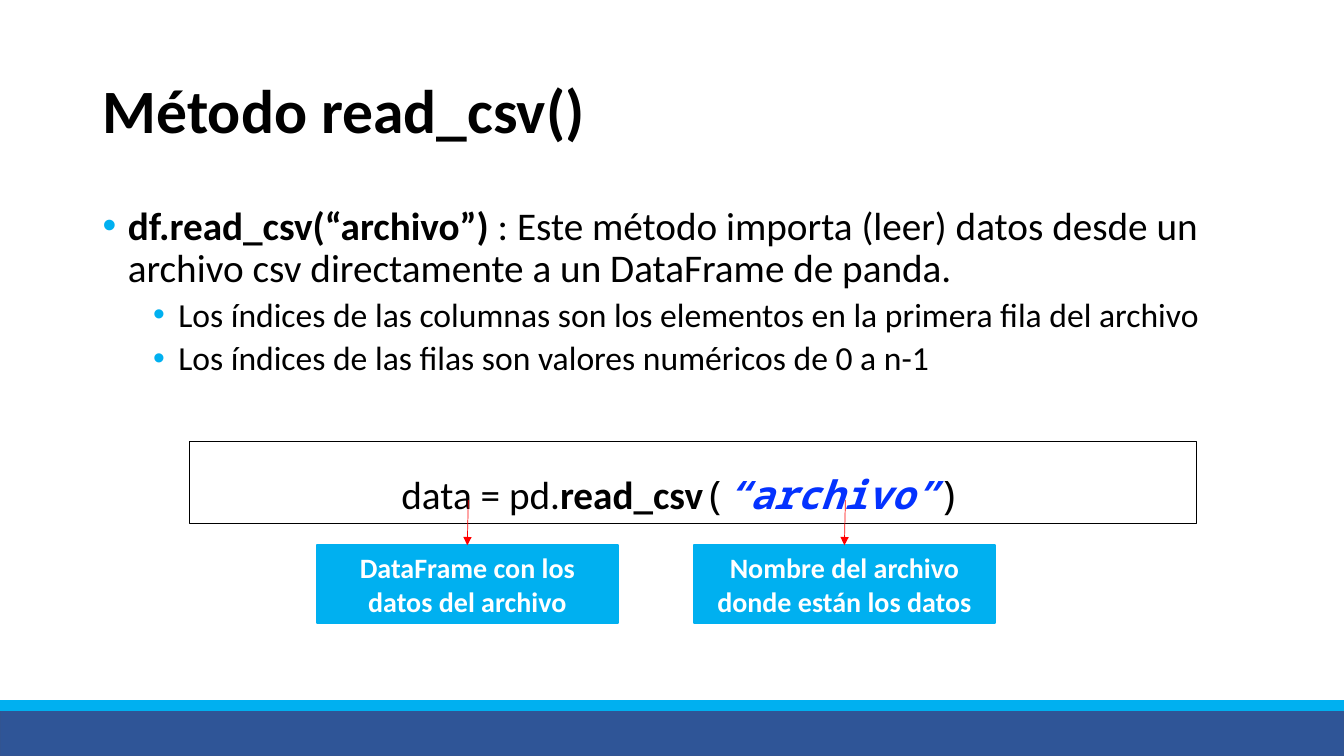
"""Build a slide that explains the read_csv() method."""
from lxml import etree
from pptx import Presentation
from pptx.dml.color import RGBColor
from pptx.enum.shapes import MSO_CONNECTOR, MSO_SHAPE
from pptx.enum.text import MSO_ANCHOR, PP_ALIGN
from pptx.oxml.ns import qn
from pptx.util import Inches, Pt

RECTANGLE = MSO_SHAPE.RECTANGLE
STRAIGHT = MSO_CONNECTOR.STRAIGHT
MIDDLE, TOP = MSO_ANCHOR.MIDDLE, MSO_ANCHOR.TOP
CENTER = PP_ALIGN.CENTER
BLACK, WHITE, CYAN, BLUE, RED = "000000", "FFFFFF", "00B0F0", "0432FF", "FF0000"
MONO = "Noto Sans Mono"


def color(value):
    return RGBColor.from_string(value)


def add_run(paragraph, text, size, fill=BLACK, bold=False, italic=False, name="Calibri"):
    run = paragraph.add_run()
    run.text = text
    run.font.size = Pt(size)
    run.font.name = name
    run.font.bold = bold
    run.font.italic = italic
    run.font.color.rgb = color(fill)


presentation = Presentation()
presentation.slide_width, presentation.slide_height = Inches(13.33), Inches(7.5)
slide = presentation.slides.add_slide(presentation.slide_layouts[6])

rectangles = []
for left, top, width, height, fill, line, weight in [
    (0, 7.03, 13.33, 0.47, "2F5597", "325491", 1),
    (0, 6.95, 13.33, 0.1, CYAN, CYAN, 1),
    (1.88, 4.38, 9.99, 0.81, None, BLACK, 0.75),
    (3.14, 5.41, 2.99, 0.77, CYAN, CYAN, 1.5),
    (6.88, 5.41, 2.99, 0.77, CYAN, CYAN, 1.5),
]:
    shape = slide.shapes.add_shape(
        RECTANGLE, Inches(left), Inches(top), Inches(width), Inches(height))
    shape.shadow.inherit = False
    if fill:
        shape.fill.solid()
        shape.fill.fore_color.rgb = color(fill)
    else:
        shape.fill.background()
    shape.line.color.rgb = color(line)
    shape.line.width = Pt(weight)
    shape.text_frame.word_wrap = True
    rectangles.append(shape)
code_box, *callouts = rectangles[2:]

frames = []
for top, height, anchor in [(0.4, 1.45, MIDDLE), (2, 4.76, TOP)]:
    box = slide.shapes.add_textbox(Inches(0.92), Inches(top), Inches(11.5), Inches(height))
    box.text_frame.word_wrap = True
    box.text_frame.vertical_anchor = anchor
    frames.append(box.text_frame)
title, body = frames

title.paragraphs[0].line_spacing = 0.9
add_run(title.paragraphs[0], "Método read_csv()", 44, bold=True)

bullets = [
    (0, 28, 10, [
        ("df.read_csv(“archivo”)", True),
        (" : Este método importa (leer) datos desde un archivo csv "
         "directamente a un DataFrame de panda.", False)]),
    (1, 24, 5, [("Los índices de las columnas son los elementos en la primera fila del archivo", False)]),
    (1, 24, 5, [("Los índices de las filas son valores numéricos de 0 a n-1", False)]),
]
for index, (level, size, space, runs) in enumerate(bullets):
    paragraph = body.add_paragraph() if index else body.paragraphs[0]
    paragraph.level = level
    paragraph.line_spacing = 0.9
    paragraph.space_before = Pt(space)
    for text, bold in runs:
        add_run(paragraph, text, size, bold=bold)
    properties = paragraph._p.get_or_add_pPr()
    properties.set("marL", str(Inches(0.25 + 0.5 * level)))
    properties.set("indent", str(Inches(-0.25)))
    bullet_color = etree.SubElement(properties, qn("a:buClr"))
    etree.SubElement(bullet_color, qn("a:srgbClr"), val=CYAN)
    etree.SubElement(properties, qn("a:buFont"), typeface="Arial")
    etree.SubElement(properties, qn("a:buChar"), char="•")

code = code_box.text_frame.paragraphs[0]
code.alignment = CENTER
code.line_spacing = 1.5
add_run(code, "data = pd.", 28)
add_run(code, "read_csv", 28, bold=True)
add_run(code, "(", 28, name=MONO)
add_run(code, "“archivo”", 28, BLUE, bold=True, italic=True, name=MONO)
add_run(code, ") ", 28, name=MONO)

labels = ["DataFrame con los datos del archivo", "Nombre del archivo donde están los datos"]
for callout, label in zip(callouts, labels):
    paragraph = callout.text_frame.paragraphs[0]
    paragraph.alignment = CENTER
    add_run(paragraph, label, 20, WHITE, bold=True)
    center = callout.left + callout.width // 2
    arrow = slide.shapes.add_connector(
        STRAIGHT, center + Inches(0.01), Inches(4.96), center, callout.top)
    arrow.line.color.rgb = color(RED)
    arrow.line.width = Pt(0.5)
    etree.SubElement(arrow.line._get_or_add_ln(), qn("a:tailEnd"), type="triangle")
    etree.SubElement(arrow._element.spPr, qn("a:effectLst"))

presentation.save("out.pptx")
